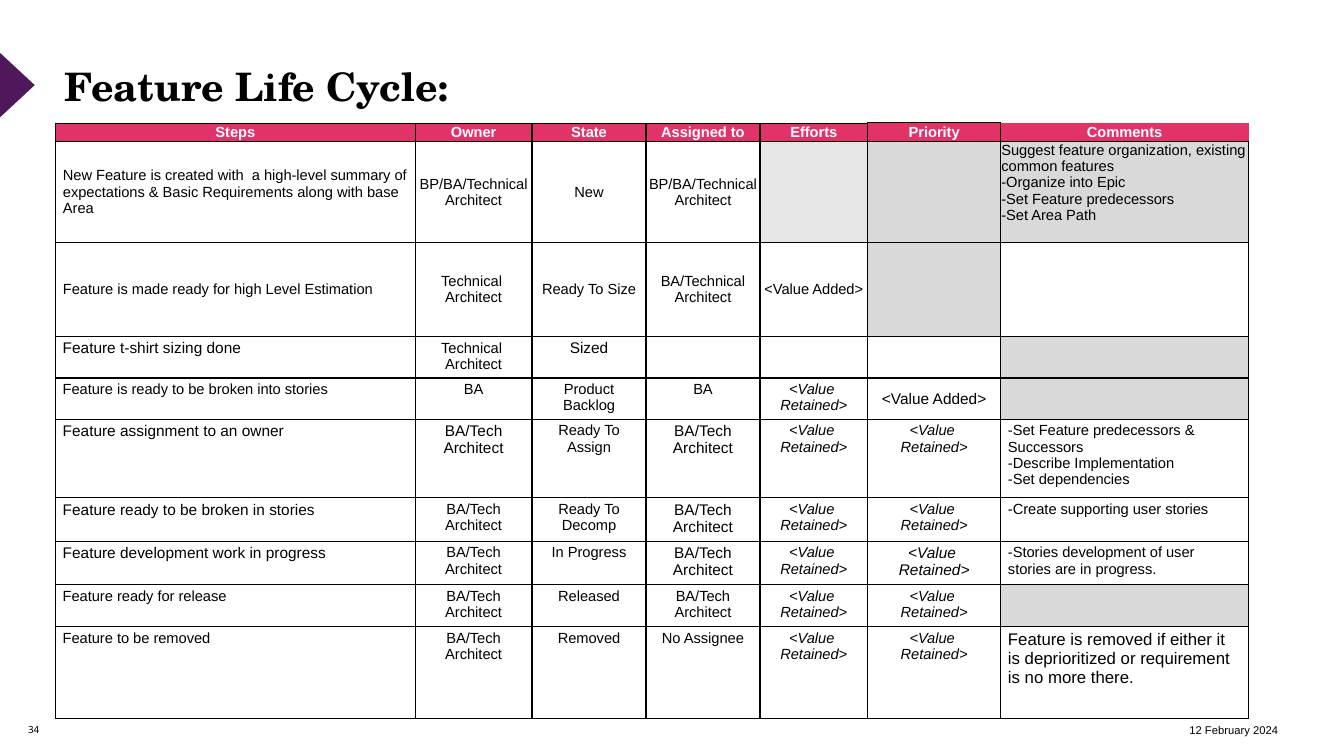
from lxml.etree import SubElement
from pptx import Presentation
from pptx.dml.color import RGBColor
from pptx.enum.shapes import MSO_SHAPE
from pptx.enum.text import MSO_ANCHOR, MSO_AUTO_SIZE, PP_ALIGN
from pptx.oxml.ns import qn
from pptx.util import Pt

COLORS = {"plum": "4F185A", "pink": "E23368", "pale": "E7E6E6",
          "gray": "D9D9D9", "white": "FFFFFF", "black": "000000"}
WIDTHS = [257, 83.5, 81.4, 81.4, 77, 95, 177]
HEIGHTS = [13.2, 72, 67.5, 29.5, 29.5, 56.2, 31, 31, 30.2, 65.5]
KEPT = "<Value \nRetained>"
ADDED = "<Value Added>"
TEAM = "BA/Tech Architect"
TECH = "Technical \nArchitect"
ROWS = [
    ["Steps", "Owner", "State", "Assigned to", "Efforts", "Priority", "Comments"],
    ["New Feature is created with  a high-level summary of expectations & Basic "
     "Requirements along with base Area",
     "BP/BA/Technical Architect", "New", "BP/BA/Technical Architect", "", "",
     "Suggest feature organization, existing common features\n-Organize into Epic\n"
     "-Set Feature predecessors\n-Set Area Path"],
    ["Feature is made ready for high Level Estimation", TECH, "Ready To Size",
     "BA/Technical Architect", ADDED, "", ""],
    ["Feature t-shirt sizing done", TECH, "Sized", "", "", "", ""],
    ["Feature is ready to be broken into stories", "BA", "Product Backlog", "BA",
     KEPT, ADDED, ""],
    ["Feature assignment to an owner", TEAM, "Ready To Assign", TEAM, KEPT, KEPT,
     "-Set Feature predecessors & Successors\n-Describe Implementation\n"
     "-Set dependencies"],
    ["Feature ready to be broken in stories", TEAM, "Ready To Decomp", TEAM,
     KEPT, KEPT, "-Create supporting user stories"],
    ["Feature development work in progress", TEAM, "In Progress", TEAM, KEPT, KEPT,
     "-Stories development of user stories are in progress."],
    ["Feature ready for release", TEAM, "Released", TEAM, KEPT, KEPT, ""],
    ["Feature to be removed", TEAM, "Removed", "No Assignee", KEPT, KEPT,
     "Feature is removed if either it is deprioritized or requirement is no more there."],
]
SHADES = {(1, 4): "pale", (1, 5): "gray", (1, 6): "gray", (2, 5): "gray",
          (3, 6): "gray", (4, 6): "gray", (8, 6): "gray"}
SIZES = {**dict.fromkeys([(3, 0), (3, 2), (4, 5), (5, 0), (5, 1), (5, 3), (6, 0),
                          (6, 3), (7, 0), (7, 3), (7, 5)], 11), (9, 6): 12}


def tint(name):
    """Return the named colour."""
    return RGBColor.from_string(COLORS[name])


def write(para, text, size, font="Arial", color="black", bold=False, slant=False):
    """Add one styled run to a paragraph."""
    run = para.add_run()
    run.text = text
    face = run.font
    face.name, face.size, face.bold, face.italic = font, Pt(size), bold, slant
    face.color.rgb = tint(color)


def inset(item, left, top, right, base):
    """Set the four margins of a cell or text frame."""
    item.margin_left, item.margin_top = Pt(left), Pt(top)
    item.margin_right, item.margin_bottom = Pt(right), Pt(base)


def border(cell, row, col):
    """Draw the four edges of a cell."""
    props = cell._tc.get_or_add_tcPr()
    for side in "LRTB":
        width = 1
        if row == 0 and (side == "T" and col < 5 or side == "L" and col == 0):
            width = 0.5
        line = SubElement(props, qn("a:ln" + side), w=str(Pt(width)))
        if (row, col) == (0, 6) and side in "RT":
            SubElement(line, qn("a:noFill"))
        else:
            fill = SubElement(line, qn("a:solidFill"))
            SubElement(fill, qn("a:srgbClr"), val=COLORS["black"])


def fill_cell(cell, row, col, text):
    """Format one cell and write its text."""
    head = row == 0
    border(cell, row, col)
    cell.fill.solid()
    cell.fill.fore_color.rgb = tint("pink" if head else SHADES.get((row, col), "white"))
    if row < 3 or text == ADDED:
        inset(cell, 5.4 if col == 0 and not head else 0.5, 0.5, 0.5, 0)
        cell.vertical_anchor = MSO_ANCHOR.MIDDLE
    else:
        inset(cell, 5.2, 2.4, 5.2, 1)
    if (row, col) == (1, 6):
        cell.vertical_anchor = MSO_ANCHOR.TOP
    if not text:
        return
    frame = cell.text_frame
    for num, part in enumerate(text.split("\n")):
        para = frame.add_paragraph() if num else frame.paragraphs[0]
        para.alignment = PP_ALIGN.CENTER if head or 0 < col < 6 else PP_ALIGN.LEFT
        write(para, part, SIZES.get((row, col), 10.5),
              color="white" if head else "black", bold=head, slant=text == KEPT)


def add_grid(slide, left, top):
    """Build the life cycle table."""
    grid = slide.shapes.add_table(len(ROWS), len(WIDTHS), Pt(left), Pt(top),
                                  Pt(sum(WIDTHS)), Pt(sum(HEIGHTS))).table
    grid.first_row = grid.horz_banding = False
    for col, width in zip(grid.columns, WIDTHS):
        col.width = Pt(width)
    for row, height in zip(grid.rows, HEIGHTS):
        row.height = Pt(height)
    for row, texts in enumerate(ROWS):
        for col, text in enumerate(texts):
            fill_cell(grid.cell(row, col), row, col, text)


def add_title(slide, left, top, width, height):
    """Place the title and the marker at the slide edge."""
    title = slide.shapes.title
    title.left, title.top = Pt(left), Pt(top)
    title.width, title.height = Pt(width), Pt(height)
    frame = title.text_frame
    inset(frame, 0, 0, 0, 0)
    frame.word_wrap = True
    frame.auto_size = MSO_AUTO_SIZE.NONE
    frame.vertical_anchor = MSO_ANCHOR.TOP
    para = frame.paragraphs[0]
    para.alignment, para.space_after = PP_ALIGN.LEFT, Pt(6)
    write(para, "Feature Life Cycle:", 28, "TeX Gyre Schola", bold=True)
    mark = slide.shapes.add_shape(MSO_SHAPE.ISOSCELES_TRIANGLE, Pt(left - 57.6),
                                  Pt(top + 3.6), Pt(46.8), Pt(25.2))
    mark.rotation = 90
    mark.shadow.inherit = False
    mark.fill.solid()
    mark.fill.fore_color.rgb = tint("plum")
    mark.line.fill.background()


def add_note(slide, left, top, width, height, text, size, font, align):
    """Add one footer text."""
    frame = slide.shapes.add_textbox(Pt(left), Pt(top), Pt(width), Pt(height)).text_frame
    inset(frame, 0, 0, 0, 0)
    frame.word_wrap = True
    frame.vertical_anchor = MSO_ANCHOR.MIDDLE
    frame.paragraphs[0].alignment = align
    write(frame.paragraphs[0], text, size, font)


def add_foot(slide, left, top, width, height):
    """Place the page number and the date."""
    add_note(slide, left, top, 32.4, height, "34", 7, "Noto Sans", PP_ALIGN.LEFT)
    add_note(slide, left + width - 82, top, 82, height, "12 February 2024", 8,
             "Arial", PP_ALIGN.RIGHT)


def main():
    """Build and save the slide."""
    deck = Presentation()
    deck.slide_width, deck.slide_height = Pt(960), Pt(540)
    slide = deck.slides.add_slide(deck.slide_layouts[5])
    add_title(slide, 46.4, 44.6, 867, 57.6)
    add_foot(slide, 20, 507, 893, 28.8)
    add_grid(slide, 39.6, 87.8)
    deck.save("out.pptx")


if __name__ == "__main__":
    main()
